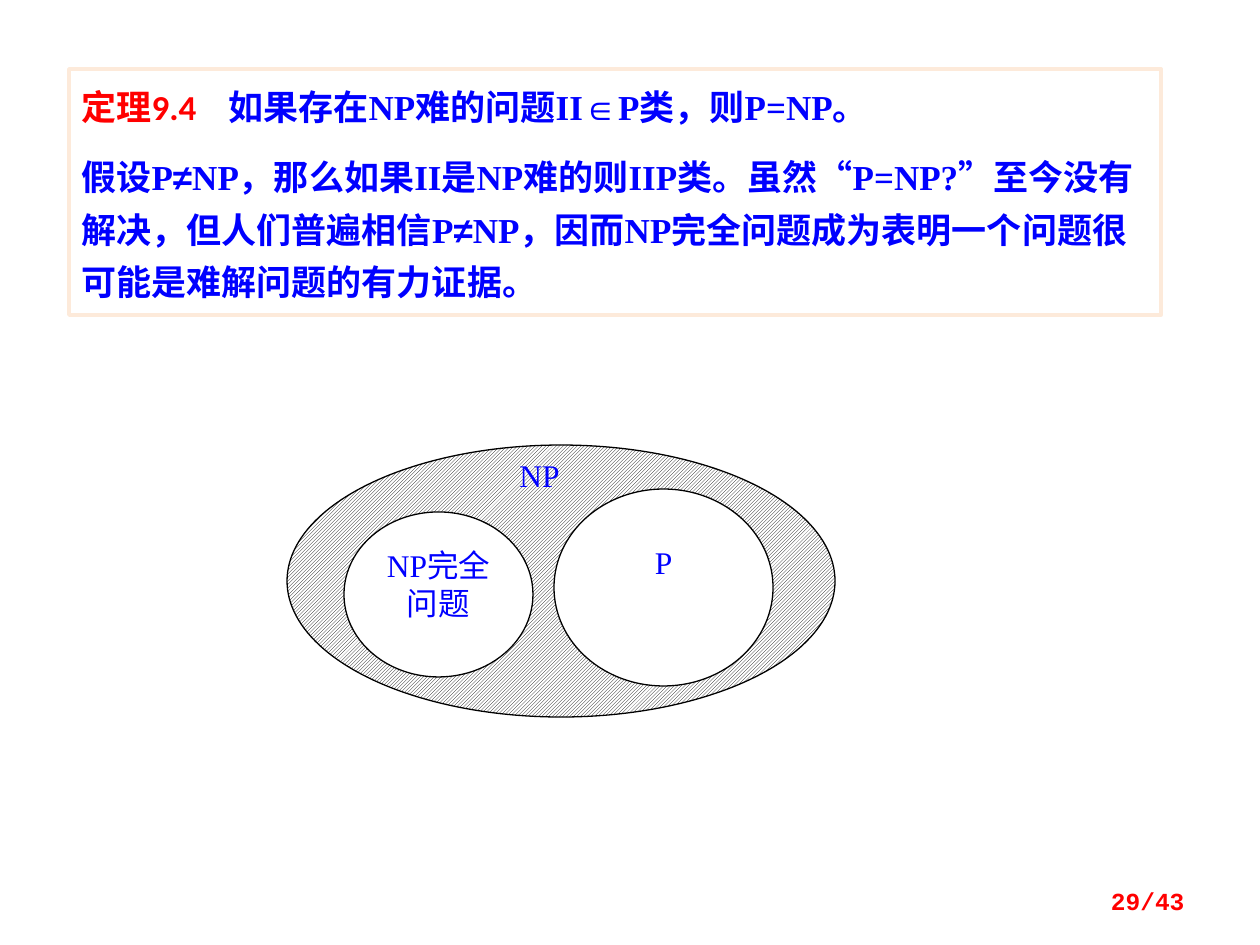
"""Build the slide on theorem 9.4 with its diagram of the P and NP classes."""
from dataclasses import dataclass

from lxml import etree
from pptx import Presentation
from pptx import util as u
from pptx.dml.color import RGBColor
from pptx.enum import dml, shapes, text
from pptx.oxml.ns import qn


@dataclass
class Theme:
    blue: RGBColor = RGBColor(0, 0, 255)
    red: RGBColor = RGBColor(255, 0, 0)
    black: RGBColor = RGBColor(0, 0, 0)
    white: RGBColor = RGBColor(255, 255, 255)
    border: RGBColor = RGBColor(0xFD, 0xEA, 0xDA)
    serif: str = "Times New Roman"
    sans: str = "Arial"
    heading: str = "Calibri"
    mono: str = "Courier New"
    body: int = 20
    label: int = 18
    page: int = 14


theme = Theme()
PX = 914400 / 126


def px(*values):
    return [u.Emu(round(v * PX)) for v in values]


def style(p, align, size, color, name=None, bold=False):
    p.alignment = align
    p.font.size = u.Pt(size)
    p.font.bold = bold
    p.font.color.rgb = color
    if name:
        p.font.name = name


prs = Presentation()
prs.slide_width, prs.slide_height = px(1260, 945)
s = prs.slides.add_slide(prs.slide_layouts[6])

sp = s.shapes.add_shape(shapes.MSO_SHAPE.RECTANGLE, *px(69, 69, 1092, 246))
sp.shadow.inherit = False
sp.fill.solid()
sp.fill.fore_color.rgb = theme.white
sp.line.color.rgb = theme.border
sp.line.width = u.Pt(2)
tf = sp.text_frame
tf.word_wrap = True
tf.vertical_anchor = text.MSO_ANCHOR.TOP

theorem = [
    [("定理9.4\t", theme.heading), ("如果存在NP难的问题II∈P类，则P=NP。", theme.serif)],
    [
        ("假设P", theme.serif),
        ("≠", theme.sans),
        ("NP，那么如果II是NP难的则IIP类。虽然“P=NP?”至今没有解决，但人们普遍相信P", theme.serif),
        ("≠", theme.sans),
        ("NP，因而NP完全问题成为表明一个问题很可能是难解问题的有力证据。", theme.serif),
    ],
]
for i, parts in enumerate(theorem):
    p = tf.add_paragraph() if i else tf.paragraphs[0]
    p.line_spacing = u.Pt(30)
    p.space_before = u.Pt(10 if i else 0)
    if i == 0:
        tabs = etree.SubElement(p._p.get_or_add_pPr(), qn("a:tabLst"))
        etree.SubElement(tabs, qn("a:tab"), pos=str(px(147)[0]), algn="l")
    style(p, text.PP_ALIGN.LEFT, theme.body, theme.blue, bold=True)
    for words, font in parts:
        r = p.add_run()
        r.text = words
        r.font.name = font
tf.paragraphs[0].runs[0].font.color.rgb = theme.red

diagram = s.shapes.add_group_shape()
ellipses = [
    ("", (287, 445, 548, 272), 0),
    ("NP完全问题", (344, 512, 189, 165), 10),
    ("P", (554, 489, 219, 197), 25),
]
labels = []
for words, box, inset in ellipses:
    sp = diagram.shapes.add_shape(shapes.MSO_SHAPE.OVAL, *px(*box))
    sp.shadow.inherit = False
    sp.line.color.rgb = theme.black
    sp.line.width = u.Pt(0.75)
    if words:
        sp.fill.solid()
        sp.fill.fore_color.rgb = theme.white
        labels.append((sp, words, inset))
    else:
        sp.fill.patterned()
        sp.fill.pattern = dml.MSO_PATTERN.LIGHT_UPWARD_DIAGONAL
        sp.fill.fore_color.rgb = theme.black
        sp.fill.back_color.rgb = theme.white
labels.append((diagram.shapes.add_textbox(*px(498, 456, 83, 59)), "NP", 0))

for sp, words, inset in labels:
    tf = sp.text_frame
    tf.word_wrap = True
    tf.vertical_anchor = text.MSO_ANCHOR.TOP
    tf.margin_left = tf.margin_right = tf.margin_bottom = 0
    tf.margin_top = px(inset)[0]
    p = tf.paragraphs[0]
    style(p, text.PP_ALIGN.CENTER, theme.label, theme.blue, theme.serif)
    p.add_run().text = words

tf = s.shapes.add_textbox(*px(903, 876, 294, 50)).text_frame
tf.word_wrap = True
tf.vertical_anchor = text.MSO_ANCHOR.MIDDLE
p = tf.paragraphs[0]
style(p, text.PP_ALIGN.RIGHT, theme.page, theme.red, theme.mono, bold=True)
p.add_run().text = "29/43"

prs.save("out.pptx")
